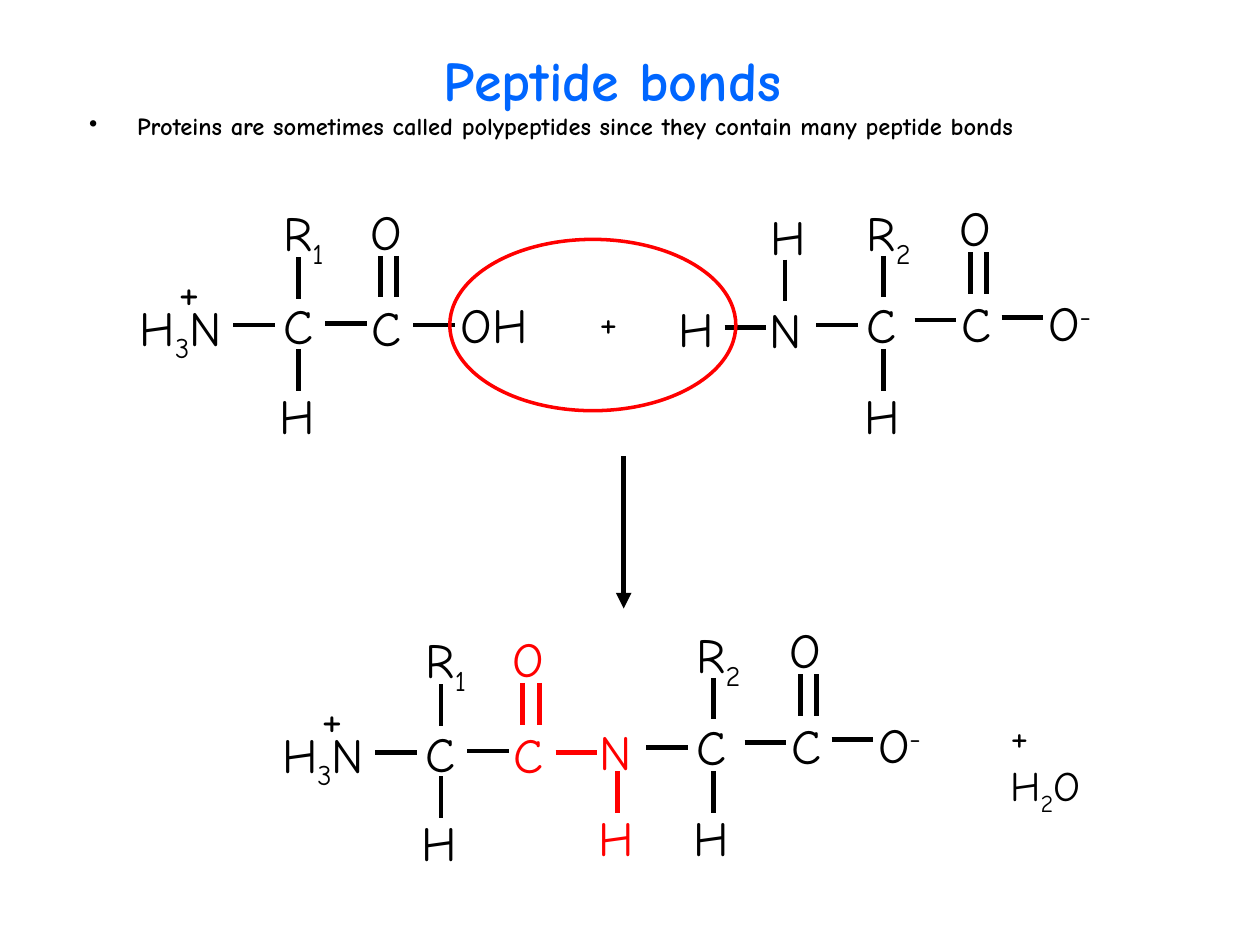
from lxml import etree
from pptx import Presentation
from pptx.dml.color import RGBColor
from pptx.enum.shapes import MSO_CONNECTOR as Connector, MSO_SHAPE as Shape
from pptx.enum.text import MSO_ANCHOR as Anchor, MSO_AUTO_SIZE as AutoSize, PP_ALIGN as Align
from pptx.oxml.ns import qn
from pptx.util import Inches, Pt

COLORS = {"title": "0066FF", "ink": "000000", "accent": "FF0000"}
BASELINES = {"_": "-25000", "^": "30000"}
BOND = 0.33  # length of every bond
DOUBLE_GAP = 0.13  # distance between the two lines of a double bond


def rgb(name):
    return RGBColor.from_string(COLORS[name])


def write(para, text, size=28, color="ink", bold=False, font="Comic Neue"):
    """Add text to a paragraph; _ lowers the next character and ^ raises it."""
    pieces, mark = [], None
    for char in text:
        if char in BASELINES:
            mark = char
        elif mark or not pieces or pieces[-1][1]:
            pieces.append([char, mark])
            mark = None
        else:
            pieces[-1][0] += char
    for piece, shift in pieces:
        span = para.add_run()
        span.text = piece
        span.font.name, span.font.size, span.font.bold = font, Pt(size), bold
        span.font.color.rgb = rgb(color)
        if shift:
            span._r.get_or_add_rPr().set("baseline", BASELINES[shift])


class Painter:
    def __init__(self, page):
        self.page = page
        self.left = self.top = 0

    def move_to(self, left, top):
        """Shift everything drawn from here on."""
        self.left, self.top = left, top

    def text(self, text, x, y, width=0.6, height=0.57, wrap=True, grow=True,
             align=Align.LEFT, anchor=Anchor.TOP, bullet=False, **style):
        box = self.page.shapes.add_textbox(
            Inches(self.left + x), Inches(self.top + y), Inches(width), Inches(height))
        frame = box.text_frame
        frame.word_wrap, frame.vertical_anchor = wrap, anchor
        frame.auto_size = AutoSize.SHAPE_TO_FIT_TEXT if grow else AutoSize.NONE
        para = frame.paragraphs[0]
        para.alignment = align
        if bullet:
            para.line_spacing = 0.9
            props = para._p.get_or_add_pPr()
            props.set("marL", str(Inches(0.38)))
            props.set("indent", str(-Inches(0.38)))
            etree.SubElement(props, qn("a:buChar")).set("char", "•")
        write(para, text, **style)

    def line(self, x1, y1, x2, y2, color="ink", weight=2.75, arrow=False):
        line = self.page.shapes.add_connector(
            Connector.STRAIGHT, Inches(self.left + x1), Inches(self.top + y1),
            Inches(self.left + x2), Inches(self.top + y2))
        line.line.color.rgb = rgb(color)
        line.line.width = Pt(weight)
        if arrow:
            etree.SubElement(line.line._get_or_add_ln(), qn("a:tailEnd")).set("type", "triangle")
        etree.SubElement(line._element.spPr, qn("a:effectLst"))

    def across(self, x, y, **style):
        self.line(x, y, x + BOND, y, **style)

    def down(self, x, y, **style):
        self.line(x, y, x, y + BOND, **style)

    def double(self, x, y, **style):
        for offset in (0, DOUBLE_GAP):
            self.down(x + offset, y, **style)

    def ring(self, x, y, width, height, color="accent", weight=2):
        ring = self.page.shapes.add_shape(
            Shape.OVAL, Inches(x), Inches(y), Inches(width), Inches(height))
        ring.shadow.inherit = False
        ring.fill.background()
        ring.line.color.rgb = rgb(color)
        ring.line.width = Pt(weight)


def first_residue(paint, carbonyl):
    """Amino end, side chain R1 and a carbonyl group in the given colour."""
    paint.text("H_3N", 1.01, 2.31, 0.91, 0.63)
    paint.text("+", 1.32, 2.02, 0.38)
    paint.across(1.85, 2.58)
    paint.text("R_1", 2.15, 1.56, 0.68, 0.63)
    paint.down(2.37, 2.04)
    paint.text("C", 2.15, 2.3, 0.67)
    paint.down(2.37, 2.77)
    paint.text("H", 2.12, 3.01)
    paint.across(2.58, 2.57)
    paint.text("O", 2.84, 1.55, color=carbonyl)
    paint.double(3.02, 2.03, color=carbonyl)
    paint.text("C", 2.85, 2.31, color=carbonyl)
    paint.across(3.28, 2.58, color=carbonyl)


def second_residue(paint, nitrogen):
    """Nitrogen in the given colour, side chain R2 and the carboxyl end."""
    paint.text("N", 6.01, 2.33, color=nitrogen)
    paint.across(6.48, 2.58)
    paint.text("R_2", 6.78, 1.56, 0.67, 0.63)
    paint.down(7.01, 2.03)
    paint.text("C", 6.78, 2.29, 0.67)
    paint.down(7.01, 2.77)
    paint.text("H", 6.76, 3.01)
    paint.across(7.26, 2.54)
    paint.text("O", 7.52, 1.52)
    paint.double(7.7, 2)
    paint.text("C", 7.53, 2.28)
    paint.across(7.95, 2.52)
    paint.text("O^-", 8.22, 2.27, 0.72)


def main():
    deck = Presentation()
    deck.slide_width, deck.slide_height = Inches(10), Inches(7.5)
    paint = Painter(deck.slides.add_slide(deck.slide_layouts[6]))

    # Heading
    paint.text("Peptide bonds ", 0.44, 0, 9, 1.25, grow=False, align=Align.CENTER,
               anchor=Anchor.MIDDLE, size=32, color="title", bold=True)
    paint.text("Proteins are sometimes called polypeptides since they contain many peptide bonds",
               0.61, 0.86, 8.96, 0.38, grow=False, bullet=True, size=14, bold=True)

    # Two separate amino acids
    first_residue(paint, "ink")
    paint.text("OH", 3.56, 2.29, 0.88)
    second_residue(paint, "ink")
    paint.text("H", 6.02, 1.59)
    paint.down(6.23, 2.06)
    paint.text("H", 5.29, 2.32)
    paint.across(5.75, 2.6)

    # Water being split off, and the reaction arrow
    paint.text("+", 4.66, 2.3, 0.35, 0.5, wrap=False, size=24)
    paint.ring(3.57, 1.9, 2.27, 1.36)
    paint.line(4.95, 3.62, 4.95, 4.83, weight=3, arrow=True)

    # Dipeptide with its peptide bond highlighted
    paint.move_to(1.13, 3.39)
    first_residue(paint, "accent")
    paint.move_to(-1.35, 3.35)
    second_residue(paint, "accent")
    paint.move_to(0, 0)
    paint.down(4.9, 6.12, color="accent")
    paint.text("H", 4.65, 6.36, color="accent")
    paint.text("+ H_2O", 7.92, 5.58, 1.01, 0.56, wrap=False, size=24)

    deck.save("out.pptx")


if __name__ == "__main__":
    main()
